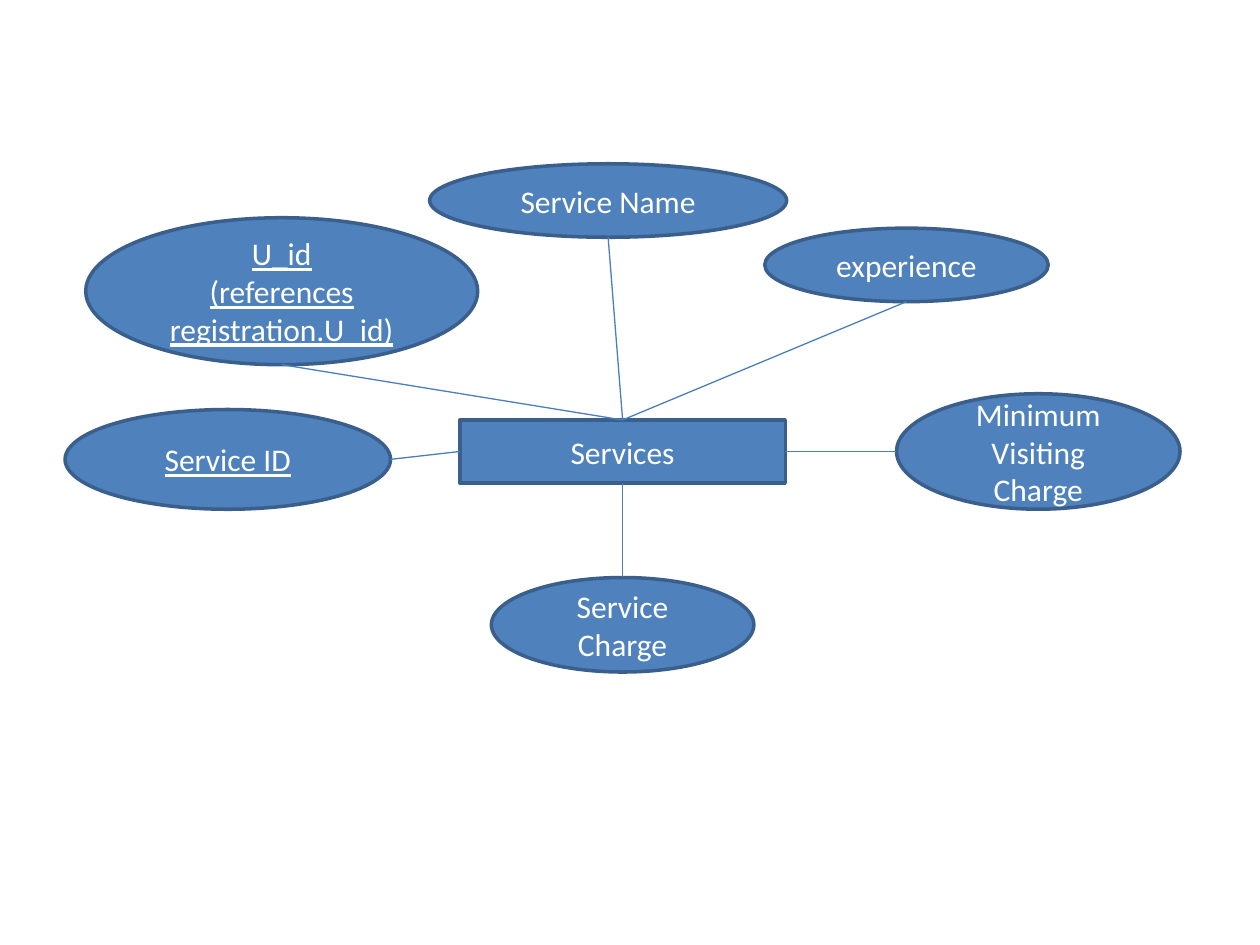
"""Build a one-slide entity diagram of Services and its attributes."""
from dataclasses import dataclass

from lxml.etree import SubElement
from pptx import Presentation
from pptx.dml.color import RGBColor as Color
from pptx.enum.shapes import MSO_CONNECTOR as Connector, MSO_SHAPE as Shape
from pptx.enum.text import MSO_ANCHOR as Anchor, PP_ALIGN as Align
from pptx.oxml.ns import qn
from pptx.util import Pt

TOP, LEFT, BOTTOM, RIGHT = range(4)
OPPOSITE = {TOP: BOTTOM, LEFT: RIGHT, BOTTOM: TOP, RIGHT: LEFT}

ENTITY = ("Services", (262.8, 240, 186, 36))
ATTRIBUTES = [
    ("Service Name", (245.5, 93.6, 204, 42), TOP, False),
    ("Service ID", (37.2, 234, 186, 57), LEFT, True),
    ("experience", (437, 130.4, 162, 42), TOP, False),
    ("U_id\n(references registration.U_id)", (49, 124.4, 224, 84), TOP, True),
    ("Minimum Visiting Charge", (512.3, 225, 162, 66), RIGHT, False),
    ("Service Charge", (280.8, 330, 150, 54), BOTTOM, False),
]


@dataclass(frozen=True)
class Theme:
    fill: Color = Color.from_string("4F81BD")
    outline: Color = Color.from_string("3A5F8C")
    link: Color = Color.from_string("4B7EBC")
    text: Color = Color.from_string("FFFFFF")
    font: str = "Calibri"
    text_size: float = 18
    outline_width: float = 2
    link_width: float = 0.75


THEME = Theme()


def add_node(slide, kind, text, bounds, underline=False):
    node = slide.shapes.add_shape(kind, *map(Pt, bounds))
    node.shadow.inherit = False
    node.fill.solid()
    node.fill.fore_color.rgb = THEME.fill
    node.line.color.rgb = THEME.outline
    node.line.width = Pt(THEME.outline_width)
    frame = node.text_frame
    frame.word_wrap = True
    frame.vertical_anchor = Anchor.MIDDLE
    frame.text = text
    for para in frame.paragraphs:
        para.alignment = Align.CENTER
        para.font.name = THEME.font
        para.font.size = Pt(THEME.text_size)
        para.font.color.rgb = THEME.text
        para.font.underline = underline
    return node


def side_middle(bounds, side):
    left, top, width, height = bounds
    across, down = {TOP: (0.5, 0), LEFT: (0, 0.5),
                    BOTTOM: (0.5, 1), RIGHT: (1, 0.5)}[side]
    return Pt(left + across * width), Pt(top + down * height)


def add_link(slide, entity, entity_bounds, bounds, side):
    start = side_middle(bounds, OPPOSITE[side])
    end = side_middle(entity_bounds, side)
    link = slide.shapes.add_connector(Connector.STRAIGHT, *start, *end)
    link.end_connect(entity, side)
    link.line.color.rgb = THEME.link
    link.line.width = Pt(THEME.link_width)
    SubElement(link._element.spPr, qn("a:effectLst"))


def main():
    deck = Presentation()
    deck.slide_width, deck.slide_height = Pt(720), Pt(540)
    slide = deck.slides.add_slide(deck.slide_layouts[6])
    name, entity_bounds = ENTITY
    entity = add_node(slide, Shape.RECTANGLE, name, entity_bounds)
    for text, bounds, side, underline in ATTRIBUTES:
        add_node(slide, Shape.OVAL, text, bounds, underline)
        add_link(slide, entity, entity_bounds, bounds, side)
    deck.save("out.pptx")


if __name__ == "__main__":
    main()
